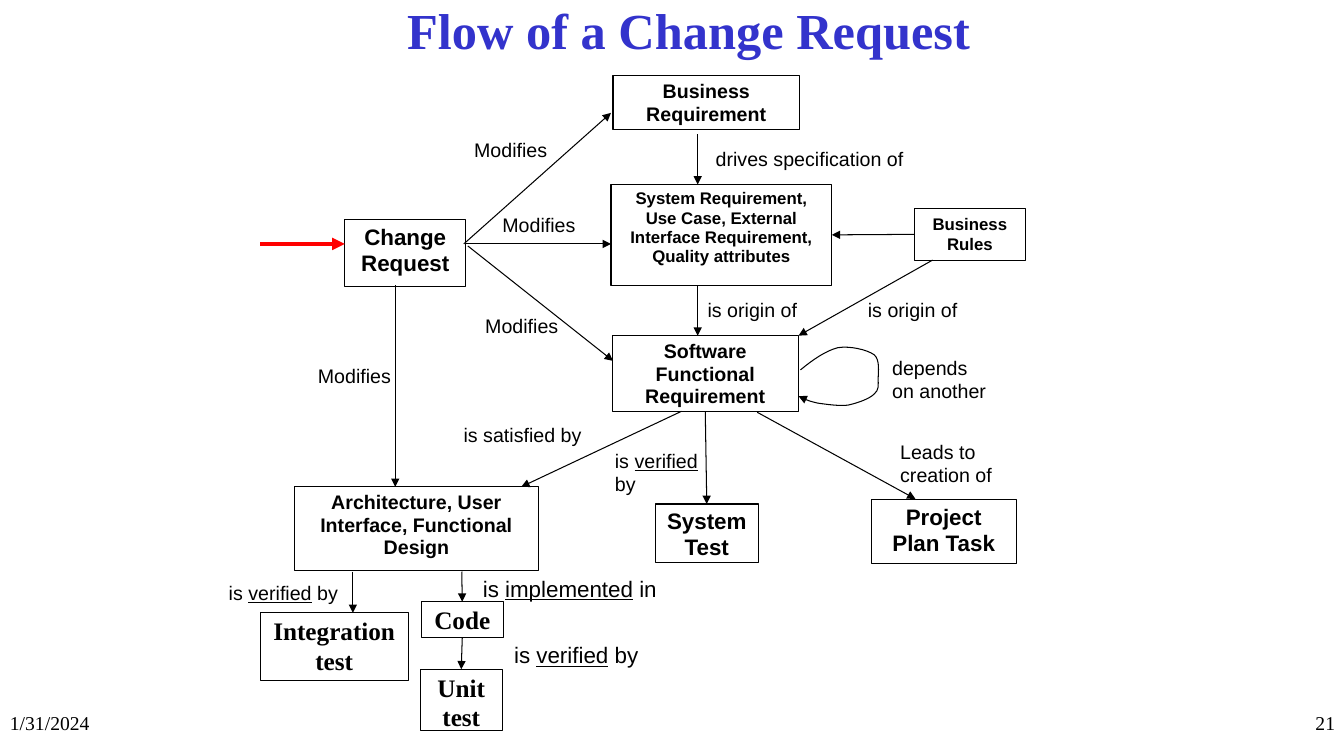
from dataclasses import dataclass

from lxml import etree
from pptx import Presentation
from pptx.dml.color import RGBColor
from pptx.enum.shapes import MSO_CONNECTOR, MSO_SHAPE
from pptx.enum.text import MSO_ANCHOR, PP_ALIGN
from pptx.oxml.ns import qn
from pptx.util import Inches, Pt

RECT = MSO_SHAPE.RECTANGLE
STRAIGHT = MSO_CONNECTOR.STRAIGHT
LEFT, CENTER, RIGHT = PP_ALIGN.LEFT, PP_ALIGN.CENTER, PP_ALIGN.RIGHT
TOP, MIDDLE = MSO_ANCHOR.TOP, MSO_ANCHOR.MIDDLE
NORTH, WEST, SOUTH, EAST = range(4)  # connection sites


@dataclass
class Theme:
    ink: RGBColor = RGBColor(0, 0, 0)
    paper: RGBColor = RGBColor(255, 255, 255)
    title: RGBColor = RGBColor(0x33, 0x33, 0xCC)
    alert: RGBColor = RGBColor(255, 0, 0)
    sans: str = "Arial"
    serif: str = "Times New Roman"
    tiny: int = 12
    small: int = 14
    mid: int = 16
    large: int = 18
    huge: int = 36
    thin: float = 0.75
    thick: float = 3
    lead: float = 0.96


def assign(target, values):
    for key, value in values.items():
        setattr(target, key, value)


class Chart:
    def __init__(self, slide, theme):
        self.shapes = slide.shapes
        self.theme = theme
        self.boxes = {}

    def letter(self, shape, text, size, font=None, bold=False, color=None,
               align=LEFT, anchor=TOP, lead=None):
        """Fill a shape with text; words between underscores are underlined."""
        frame = shape.text_frame
        assign(frame, {"word_wrap": True, "vertical_anchor": anchor})
        for i, line in enumerate(text.split("\n")):
            par = frame.add_paragraph() if i else frame.paragraphs[0]
            assign(par, {"alignment": align, "line_spacing": lead})
            for j, part in enumerate(line.split("_")):
                run = par.add_run()
                run.text = part
                assign(run.font, {"name": font or self.theme.sans, "size": Pt(size),
                                  "bold": bold, "underline": j % 2 == 1})
                run.font.color.rgb = color or self.theme.ink

    def label(self, text, spot, size, **style):
        box = self.shapes.add_textbox(*map(Inches, spot))
        self.letter(box, text, size, **style)

    def box(self, text, spot, size, font=None, lead=None, solid=True):
        shape = self.shapes.add_shape(RECT, *map(Inches, spot))
        shape.shadow.inherit = False
        if solid:
            shape.fill.solid()
            shape.fill.fore_color.rgb = self.theme.paper
        else:
            shape.fill.background()
        self.stroke(shape.line)
        self.letter(shape, text, size, font, True, align=CENTER, lead=lead)
        self.boxes[text] = shape

    def stroke(self, line, color=None, width=None):
        line.color.rgb = color or self.theme.ink
        line.width = Pt(width or self.theme.thin)

    def head(self, shape):
        ln = shape._element.spPr.find(qn("a:ln"))
        etree.SubElement(ln, qn("a:tailEnd"), type="triangle")

    def arrow(self, start, end, color=None, width=None):
        """Each end is a point or a (box name, side) pair."""
        ends = [(0, 0) if isinstance(e[0], str) else e for e in (start, end)]
        link = self.shapes.add_connector(
            STRAIGHT, *(Inches(v) for e in ends for v in e))
        for e, join in ((start, link.begin_connect), (end, link.end_connect)):
            if isinstance(e[0], str):
                join(self.boxes[e[0]], e[1])
        self.stroke(link.line, color, width)
        self.head(link)
        etree.SubElement(link._element.spPr, qn("a:effectLst"))

    def curve(self, points):
        """Draw a start point followed by Bezier triples."""
        dots = [tuple(map(Inches, p)) for p in points]
        pen = self.shapes.build_freeform(*dots[0])
        pen.add_line_segments(dots[1:], close=False)
        shape = pen.convert_to_shape()
        steps = list(shape._element.iter(qn("a:lnTo")))
        for i in range(0, len(steps), 3):
            bend = etree.Element(qn("a:cubicBezTo"))
            steps[i].addprevious(bend)
            for step in steps[i:i + 3]:
                bend.append(step[0])
                step.getparent().remove(step)
        shape.shadow.inherit = False
        shape.fill.background()
        self.stroke(shape.line)
        self.head(shape)


def main():
    deck = Presentation()
    assign(deck, {"slide_width": Inches(13.33), "slide_height": Inches(7.5)})
    look = Theme()
    flow = Chart(deck.slides.add_slide(deck.slide_layouts[6]), look)

    # Title and footer
    flow.label("Flow of a Change Request", (2.58, -0.33, 8.5, 1.25), look.huge,
               font=look.serif, bold=True, color=look.title, align=CENTER, anchor=MIDDLE)
    flow.label("1/31/2024", (0, 7, 2.78, 0.5), look.small, font=look.serif)
    flow.label("21", (10.56, 7, 2.78, 0.5), look.small, font=look.serif, align=RIGHT)

    # Boxes
    for text, spot, size, font in (
        ("Business Requirement", (6.08, 0.75, 1.85, 0.54), look.small, look.sans),
        ("System Requirement, Use Case, External Interface Requirement,\n"
         "Quality attributes", (6.06, 1.83, 2.19, 1), look.tiny, look.sans),
        ("Change Request", (3.42, 2.18, 1.2, 0.66), look.mid, look.sans),
        ("Software Functional Requirement", (6.07, 3.33, 1.85, 0.75),
         look.small, look.sans),
        ("Architecture, User Interface, Functional Design",
         (2.92, 4.83, 2.42, 0.83), look.small, look.sans),
        ("System Test", (6.5, 5, 1.02, 0.58), look.mid, look.sans),
        ("Project Plan Task", (8.64, 4.96, 1.44, 0.63), look.mid, look.sans),
        ("Code", (4.18, 5.97, 0.81, 0.36), look.large, look.serif),
        ("Unit test", (4.17, 6.64, 0.81, 0.61), look.large, look.serif),
        ("Integration test", (2.58, 6.08, 1.47, 0.67), look.large, look.serif),
    ):
        flow.box(text, spot, size, font, look.lead)
    flow.box("Business Rules", (9.07, 2.07, 1.1, 0.51), look.tiny, solid=False)
    system = next(name for name in flow.boxes if name.startswith("System Req"))

    # Arrows
    flow.arrow((2.58, 2.42), (3.42, 2.42), look.alert, look.thick)
    for start, end in (
        ((4.6, 2.42), (6.06, 1.12)),
        ((4.62, 2.42), (6.06, 2.42)),
        ((4.64, 2.44), (6.08, 3.58)),
        ((3.92, 2.83), (3.92, 4.83)),
        ((6.92, 1.33), (6.92, 1.83)),
        ((6.92, 2.83), (6.92, 3.33)),
        (("Business Rules", WEST), (system, EAST)),
        ((9.25, 2.58), (7.92, 3.33)),
        ((6.76, 4.08), (5.17, 4.83)),
        (("Software Functional Requirement", SOUTH), ("System Test", NORTH)),
        ((7.51, 4.09), (9.08, 4.95)),
        ((3.5, 5.67), (3.5, 6.08)),
        ((4.58, 5.67), ("Code", NORTH)),
        (("Code", SOUTH), ("Unit test", NORTH)),
    ):
        flow.arrow(start, end)

    # Loop back to the software requirement
    flow.curve([
        (7.94, 3.67), (8.06, 3.57), (8.19, 3.48), (8.31, 3.45),
        (8.43, 3.43), (8.6, 3.47), (8.67, 3.52),
        (8.73, 3.57), (8.71, 3.69), (8.71, 3.76),
        (8.71, 3.82), (8.72, 3.87), (8.67, 3.91),
        (8.62, 3.96), (8.5, 4), (8.41, 4.02),
        (8.31, 4.03), (8.19, 4.01), (8.11, 4),
        (8.03, 3.98), (7.97, 3.96), (7.92, 3.93)])

    # Arrow labels
    for x, y in ((4.47, 1.33), (4.75, 2.08), (4.58, 3.08), (2.92, 3.58)):
        flow.label("Modifies", (x, y, 1.19, 0.33), look.small,
                   align=CENTER, lead=look.lead)
    for x in (6.92, 8.51):
        flow.label("is origin of", (x, 2.92, 1.24, 0.26), look.small, lead=look.lead)
    for text, spot, size in (
        ("drives specification of", (7, 1.42, 2.25, 0.33), look.small),
        ("depends on another", (8.75, 3.5, 1.19, 0.6), look.small),
        ("is satisfied by", (4.5, 4.16, 1.92, 0.51), look.small),
        ("is _verified_ by", (6, 4.42, 1.12, 0.52), look.small),
        ("Leads to creation of", (8.83, 4.33, 1.33, 0.5), look.small),
        ("is _implemented_ in", (4.69, 5.67, 1.98, 0.42), look.mid),
        ("is _verified_ by", (5, 6.33, 1.75, 0.52), look.mid),
        ("is _verified_ by", (2.17, 5.73, 1.75, 0.52), look.small),
    ):
        flow.label(text, spot, size, lead=look.lead)

    deck.save("out.pptx")


if __name__ == "__main__":
    main()
